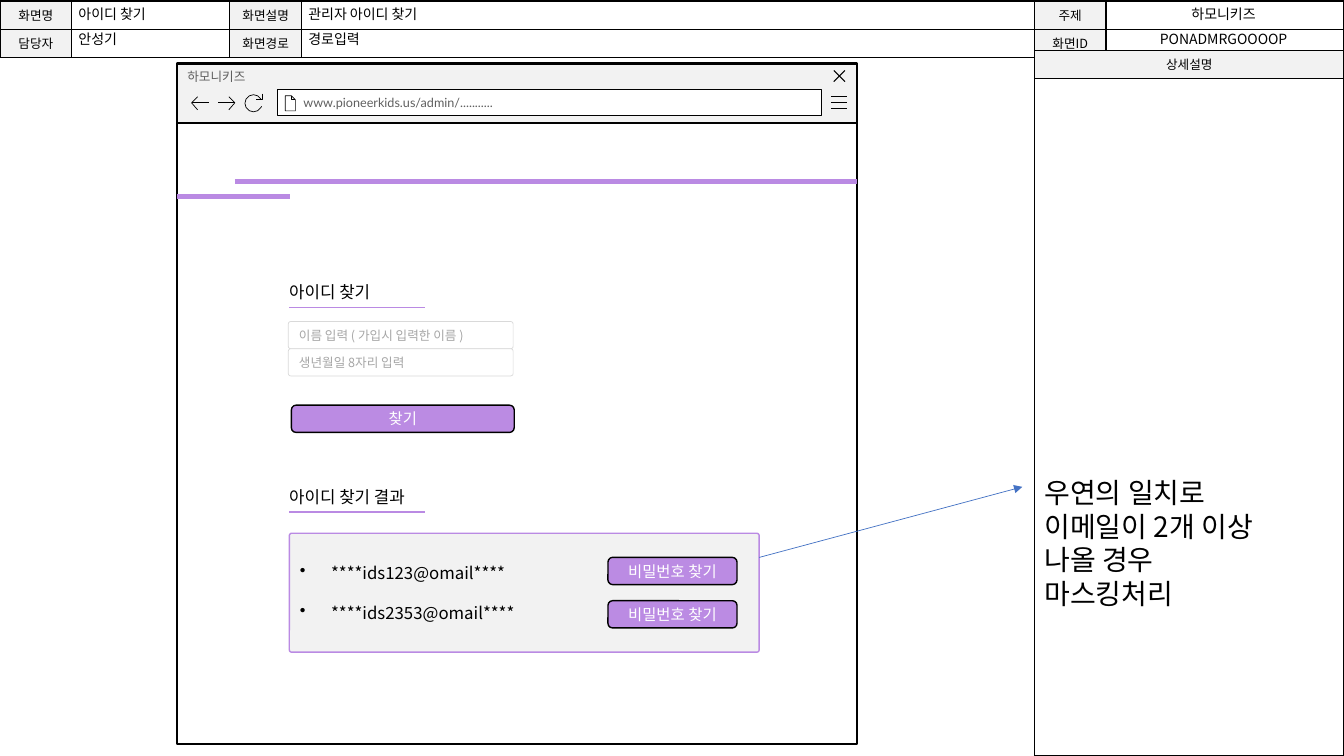
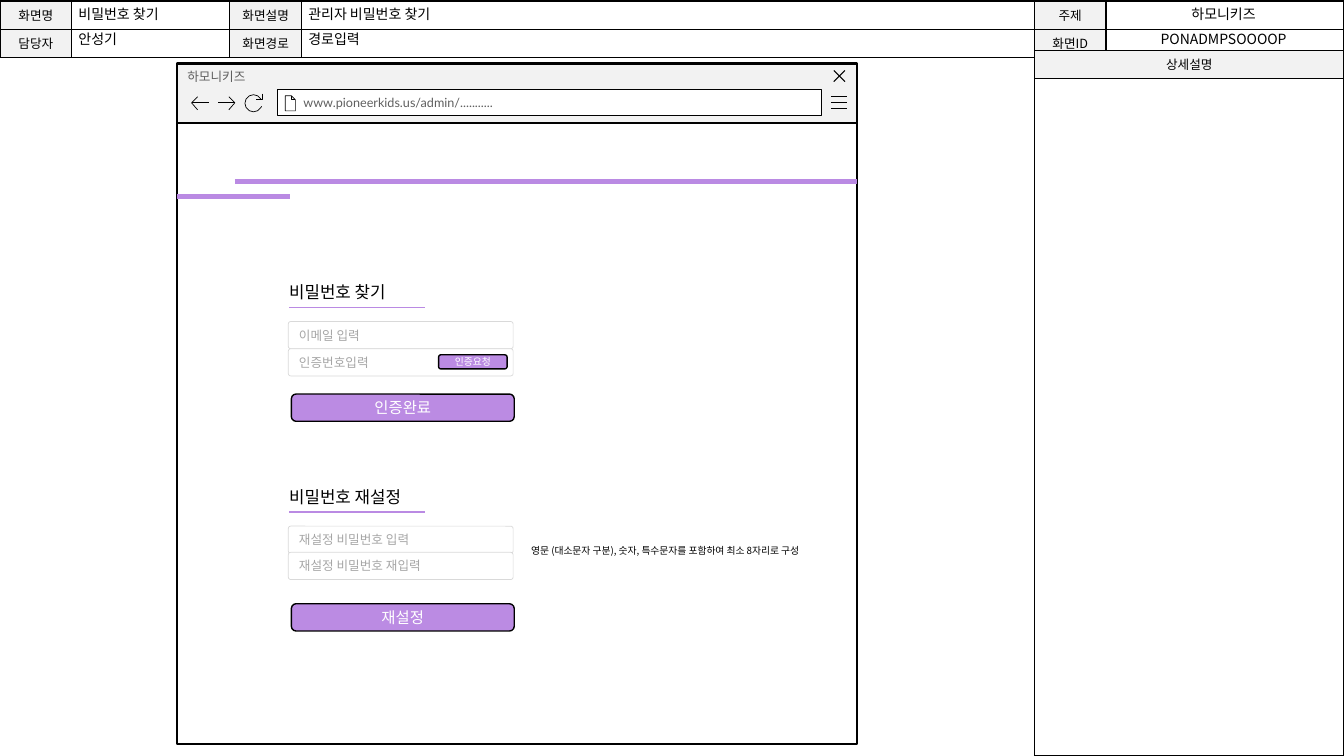
"""Build two wireframe slides: find an ID and find a password."""
from lxml import etree
from pptx import Presentation
from pptx.dml.color import RGBColor
from pptx.enum.shapes import MSO_CONNECTOR, MSO_SHAPE
from pptx.enum.text import MSO_ANCHOR, PP_ALIGN
from pptx.oxml.ns import qn
from pptx.util import Pt

RECT, ROUND, ARC = MSO_SHAPE.RECTANGLE, MSO_SHAPE.ROUNDED_RECTANGLE, MSO_SHAPE.ARC
LEFT, CENTER = PP_ALIGN.LEFT, PP_ALIGN.CENTER
TOP, MIDDLE = MSO_ANCHOR.TOP, MSO_ANCHOR.MIDDLE
LINE = MSO_CONNECTOR.STRAIGHT

PX = 9144
NOTO, LATO = "Noto Sans CJK KR", "Lato"
HEX = {
    "black": "000000", "white": "FFFFFF", "pale": "F2F2F2", "edge": "D9D9D9",
    "hint": "A6A6A6", "gray": "5F5F5F", "lilac": "BB8BE3", "rule": "BA8AE3",
    "blue": "4472C4",
}
RGB = {name: RGBColor.from_string(code) for name, code in HEX.items()}
BRAND = "하모니키즈"

STYLES = {
    "page": (RECT, None, "white", "black", 1.5, 9, "gray", LEFT, TOP, LATO, 10),
    "bar": (RECT, None, "pale", "black", 1.5, 9, "gray", LEFT, TOP, LATO, 10),
    "url": (RECT, None, "white", "black", 0.5, 9, "gray", LEFT, MIDDLE, LATO, 26),
    "field": (ROUND, 0.09, "white", "edge", 0.5, 9, "hint", LEFT, MIDDLE, NOTO, 10),
    "button": (ROUND, 0.17, "lilac", "black", 1, 11, "white", CENTER, MIDDLE, NOTO, 10),
    "small": (ROUND, 0.17, "lilac", "black", 1, 7, "white", CENTER, MIDDLE, NOTO, 10),
    "list": (ROUND, 0.02, "pale", "rule", 1, 12, "black", LEFT, MIDDLE, NOTO, 10),
    "head": (None, None, None, None, 0, 12, "black", LEFT, TOP, NOTO, 10),
    "value": (None, None, None, None, 0, 10, "black", LEFT, TOP, NOTO, 10),
    "code": (None, None, None, None, 0, 10, "black", CENTER, TOP, NOTO, 10),
    "note": (None, None, None, None, 0, 20, "black", LEFT, TOP, NOTO, 10),
    "tip": (None, None, None, None, 0, 7, "black", LEFT, TOP, NOTO, 10),
}

GRIDS = [
    (0, 1, [71, 157, 71, 727, 71, 236], [28, 28], [
        ["화면명", "", "화면설명", "", "주제", ""],
        ["담당자", "", "화면경로", "", "화면ID", ""],
    ]),
    (1026, 50, [307], [28, 672], [["상세설명"], [""]]),
]
FRAME = [
    ("page", 176, 121, 674, 617, ""),
    ("bar", 176, 63, 674, 59, BRAND),
    ("url", 275, 89, 540, 26, "www.pioneerkids.us/admin/..........."),
]
ICONS = [
    (0.5, [[(824, y), (840, y)] for y in (96, 102, 108)]),
    (0.75, [[(838, 70), (827, 81)], [(827, 70), (838, 81)]]),
    (0.5, [[(289, 95), (289, 99), (293, 99)],
           [(283, 95), (283, 110), (293, 110), (293, 99), (289, 95), (283, 95)]]),
    (0.5, [[(196, 109), (190, 102), (196, 96)], [(190, 102), (207, 102)]]),
    (0.5, [[(227, 96), (233, 102), (227, 109)], [(233, 102), (216, 102)]]),
    (0.5, [[(260, 93), (260, 99), (254, 99)]]),
]
RULES = [
    (233, 180, 850, 180, "rule", 3),
    (176, 195, 288, 195, "rule", 3),
    (287, 305, 422, 305, "rule", 1),
    (287, 508, 422, 508, "rule", 1),
]
SCREENS = [
    {
        "name": "아이디 찾기", "about": "관리자 아이디 찾기", "code": "PONADMRGOOOOP",
        "parts": [
            ("head", 277, 275, 200, 30, "아이디 찾기"),
            ("field", 286, 319, 223, 27, "이름 입력 ( 가입시 입력한 이름 )"),
            ("field", 286, 346, 223, 27, "생년월일 8자리 입력"),
            ("button", 289, 402, 221, 27, "찾기"),
            ("head", 277, 478, 200, 30, "아이디 찾기 결과"),
            ("list", 287, 529, 466, 118, "****ids123@omail****\n****ids2353@omail****"),
            ("button", 603, 553, 128, 27, "비밀번호 찾기"),
            ("button", 603, 596, 128, 27, "비밀번호 찾기"),
            ("note", 1026, 467, 257, 145,
             "우연의 일치로\n이메일이 2개 이상 나올 경우\n마스킹처리"),
        ],
        "arrows": [(753, 553, 1014, 483, "blue", 0.5)],
    },
    {
        "name": "비밀번호 찾기", "about": "관리자 비밀번호 찾기", "code": "PONADMPSOOOOP",
        "parts": [
            ("head", 277, 275, 200, 30, "비밀번호 찾기"),
            ("field", 286, 319, 223, 27, "이메일 입력"),
            ("field", 286, 346, 223, 27, "인증번호입력"),
            ("small", 435, 352, 68, 14, "인증요청"),
            ("button", 289, 391, 221, 27, "인증완료"),
            ("head", 277, 478, 200, 30, "비밀번호 재설정"),
            ("field", 286, 522, 223, 27, "재설정 비밀번호 입력"),
            ("field", 286, 548, 223, 27, "재설정 비밀번호 재입력"),
            ("tip", 517, 535, 320, 22,
             "영문 (대소문자 구분), 숫자, 특수문자를 포함하여 최소 8자리로 구성"),
            ("button", 289, 599, 221, 27, "재설정"),
        ],
        "arrows": [],
    },
]


def write(frame, text, size, ink, align, face=NOTO, dots=False):
    """Fill a text frame with one paragraph per line."""
    frame.word_wrap = True
    frame.text = text
    for i, para in enumerate(frame.paragraphs):
        para.alignment = align
        para.line_spacing = Pt(size * 1.2)
        if dots:
            props = para._p.get_or_add_pPr()
            props.set("marL", str(31 * PX))
            props.set("indent", str(-31 * PX))
            etree.SubElement(props, qn("a:buChar"), char="•")
            if i:
                para.space_before = Pt(size * 1.2)
        font = para.font
        font.size, font.name = Pt(size), face
        font.color.rgb = RGB[ink]
        etree.SubElement(font._rPr, qn("a:ea"), typeface=NOTO)


def place(shapes, style, x, y, w, h, text):
    """Add a styled box or plain text."""
    kind, corner, fill, edge, weight, size, ink, align, anchor, face, inset = STYLES[style]
    area = [n * PX for n in (x, y, w, h)]
    if kind is None:
        shape = shapes.add_textbox(*area)
    else:
        shape = shapes.add_shape(kind, *area)
        shape.shadow.inherit = False
        shape.fill.solid()
        shape.fill.fore_color.rgb = RGB[fill]
        shape.line.color.rgb = RGB[edge]
        shape.line.width = Pt(weight)
    if corner is not None:
        shape.adjustments[0] = corner
    if text:
        frame = shape.text_frame
        frame.vertical_anchor = anchor
        frame.margin_left = inset * PX
        if anchor == MIDDLE:
            frame.margin_top = frame.margin_bottom = 0
        write(frame, text, size, ink, align, face, style == "list")


deck = Presentation()
deck.slide_width, deck.slide_height = 1333 * PX, 750 * PX

for screen in SCREENS:
    shapes = deck.slides.add_slide(deck.slide_layouts[6]).shapes

    for x, y, cols, rows, texts in GRIDS:
        area = [n * PX for n in (x, y, sum(cols), sum(rows))]
        table = shapes.add_table(len(rows), len(cols), *area).table
        table.first_row = table.horz_banding = False
        for c, width in enumerate(cols):
            table.columns[c].width = width * PX
        for r, height in enumerate(rows):
            table.rows[r].height = height * PX
            for c, text in enumerate(texts[r]):
                cell = table.cell(r, c)
                cell.fill.solid()
                cell.fill.fore_color.rgb = RGB["pale" if text else "white"]
                cell.vertical_anchor = MIDDLE
                cell.margin_top, cell.margin_bottom = 3 * PX, 0
                write(cell.text_frame, text, 9, "black", CENTER)
                props = cell._tc.get_or_add_tcPr()
                for i, side in enumerate(("lnL", "lnR", "lnT", "lnB")):
                    edge = etree.Element(qn("a:" + side), w=str(Pt(1)))
                    fill = etree.SubElement(edge, qn("a:solidFill"))
                    etree.SubElement(fill, qn("a:srgbClr"), val=HEX["black"])
                    props.insert(i, edge)

    values = [
        ("value", 68, 159, screen["name"], "안성기"),
        ("value", 296, 731, screen["about"], "경로입력"),
        ("code", 1094, 239, BRAND, screen["code"]),
    ]
    for style, x, width, *texts in values:
        for r, text in enumerate(texts):
            place(shapes, style, x, 1 + 24 * r, width, 27, text)

    for part in FRAME:
        place(shapes, *part)

    icons = []
    for weight, strokes in ICONS:
        pen = shapes.build_freeform(*strokes[0][0], scale=PX)
        for i, stroke in enumerate(strokes):
            if i:
                pen.move_to(*stroke[0])
            pen.add_line_segments(stroke[1:], close=False)
        icons.append((pen.convert_to_shape(), weight))
    arc = shapes.add_shape(ARC, 243 * PX, 94 * PX, 17 * PX, 17 * PX)
    for i, angle in enumerate((20, 330)):
        arc.adjustments[i] = angle * 0.6
    icons.append((arc, 0.5))
    for icon, weight in icons:
        icon.shadow.inherit = False
        icon.fill.background()
        icon.line.color.rgb = RGB["black"]
        icon.line.width = Pt(weight)

    for part in screen["parts"]:
        place(shapes, *part)

    for *ends, ink, weight in RULES + screen["arrows"]:
        rule = shapes.add_connector(LINE, *[n * PX for n in ends])
        rule.line.color.rgb = RGB[ink]
        rule.line.width = Pt(weight)
        etree.SubElement(rule._element.spPr, qn("a:effectLst"))
        if ink == "blue":
            etree.SubElement(rule.line._get_or_add_ln(), qn("a:tailEnd"), type="triangle")

deck.save("out.pptx")
